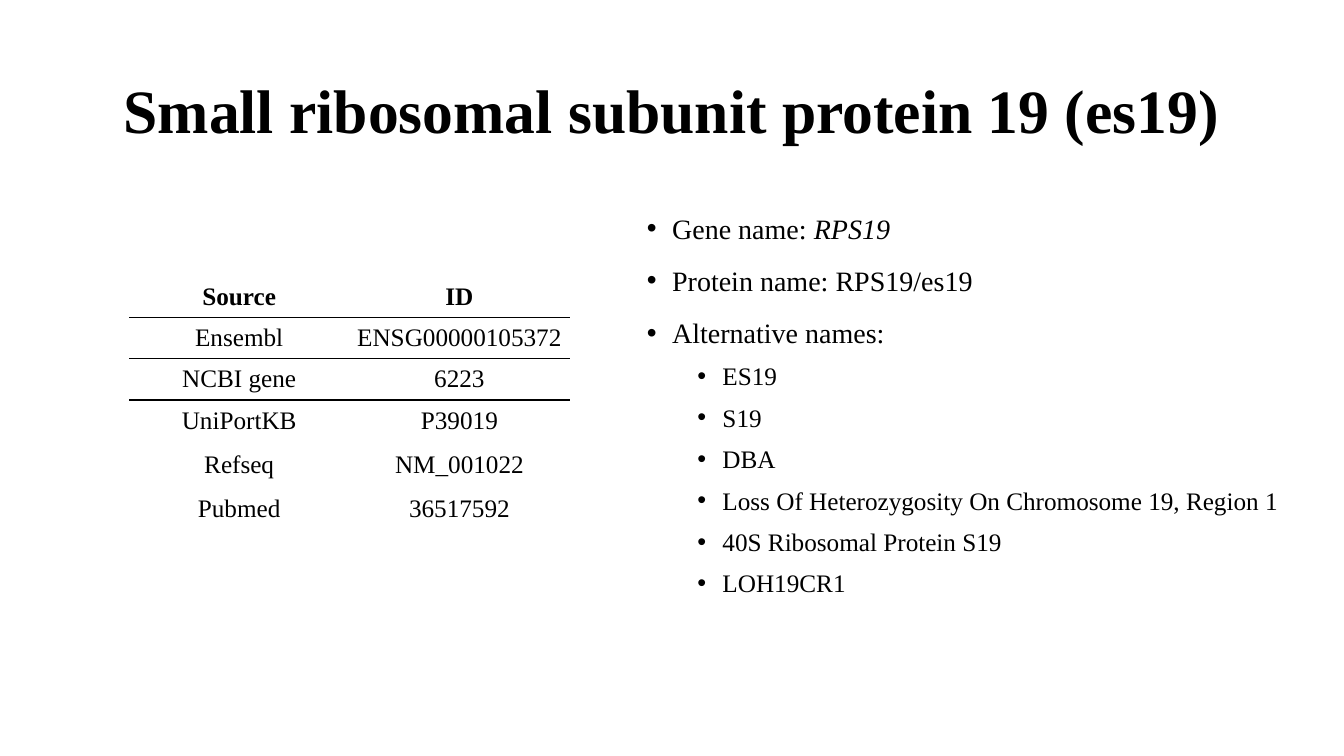
from lxml.etree import SubElement
from pptx import Presentation
from pptx.dml.color import RGBColor
from pptx.enum.text import MSO_ANCHOR, PP_ALIGN
from pptx.oxml import parse_xml
from pptx.oxml.ns import nsdecls, qn
from pptx.util import Pt

# Content
TITLE = "Small ribosomal subunit protein 19 (es19)"
IDENTIFIERS = [
    ("Source", "ID"),
    ("Ensembl", "ENSG00000105372"),
    ("NCBI gene", "6223"),
    ("UniPortKB", "P39019"),
    ("Refseq", "NM_001022"),
    ("Pubmed", "36517592"),
]
# Each name line: level, plain text, italic text
NAMES = [
    (0, "Gene name: ", "RPS19"),
    (0, "Protein name: RPS19/es19", ""),
    (0, "Alternative names:", ""),
    (1, "ES19", ""),
    (1, "S19", ""),
    (1, "DBA", ""),
    (1, "Loss Of Heterozygosity On Chromosome 19, Region 1", ""),
    (1, "40S Ribosomal Protein S19", ""),
    (1, "LOH19CR1", ""),
]

# Style
FONT = "Times New Roman"
BLACK = RGBColor(0, 0, 0)
TABLE_SIZE = 18
ROW_HEIGHTS = [29.5, 29.5, 29.5, 29.5, 33.8, 29.5]
COLUMN_WIDTH = 157.3
RULED_ROWS = (0, 1)
CELL_MARGIN = Pt(3.6)
PLAIN_TABLE_STYLE = "{2D5ABB26-0587-4C30-8999-92F81FD0307C}"
# Per level: text size, left indent, space before
LEVELS = [(20, 18, 10), (18, 54, 5)]
HANGING = 18


def format_run(run, size, bold=False, italic=False):
    run.font.name = FONT
    run.font.size = Pt(size)
    run.font.bold = bold
    run.font.italic = italic
    run.font.color.rgb = BLACK


def add_text_frame(slide, left, top, width, height):
    box = slide.shapes.add_textbox(Pt(left), Pt(top), Pt(width), Pt(height))
    box.text_frame.word_wrap = True
    return box.text_frame


def add_rule(cell, side):
    line = parse_xml(
        f'<a:{side} {nsdecls("a")} w="{Pt(1)}"><a:solidFill>'
        f'<a:srgbClr val="{BLACK}"/></a:solidFill></a:{side}>'
    )
    cell._tc.get_or_add_tcPr().insert(0, line)


def add_title(slide):
    frame = add_text_frame(slide, 66, 29, 828, 104.4)
    frame.vertical_anchor = MSO_ANCHOR.MIDDLE
    frame.text = TITLE
    paragraph = frame.paragraphs[0]
    paragraph.alignment = PP_ALIGN.CENTER
    paragraph.line_spacing = 0.9
    format_run(paragraph.runs[0], 44, bold=True)


def add_identifier_table(slide):
    rows, columns = len(IDENTIFIERS), len(IDENTIFIERS[0])
    graphic_frame = slide.shapes.add_table(
        rows, columns, Pt(92.2), Pt(197.3),
        Pt(COLUMN_WIDTH * columns), Pt(sum(ROW_HEIGHTS)),
    )
    table = graphic_frame.table
    table.first_row = table.horz_banding = False
    table._tbl.tblPr.find(qn("a:tableStyleId")).text = PLAIN_TABLE_STYLE
    for column in table.columns:
        column.width = Pt(COLUMN_WIDTH)
    for row_index, values in enumerate(IDENTIFIERS):
        table.rows[row_index].height = Pt(ROW_HEIGHTS[row_index])
        for column_index, value in enumerate(values):
            cell = table.cell(row_index, column_index)
            cell.text = value
            cell.vertical_anchor = MSO_ANCHOR.MIDDLE
            cell.margin_left = cell.margin_right = CELL_MARGIN
            cell.margin_top = cell.margin_bottom = CELL_MARGIN
            cell.fill.background()
            paragraph = cell.text_frame.paragraphs[0]
            paragraph.alignment = PP_ALIGN.CENTER
            format_run(paragraph.runs[0], TABLE_SIZE, bold=row_index == 0)
            # Bottom goes in first, so that the top line precedes it
            if row_index in RULED_ROWS:
                add_rule(cell, "lnB")
            if row_index - 1 in RULED_ROWS:
                add_rule(cell, "lnT")


def add_name_list(slide):
    frame = add_text_frame(slide, 455, 144, 494, 342.7)
    for index, (level, plain, italic) in enumerate(NAMES):
        size, indent, space_before = LEVELS[level]
        paragraph = frame.add_paragraph() if index else frame.paragraphs[0]
        paragraph.level = level
        paragraph.line_spacing = 1.14
        paragraph.space_before = Pt(space_before)
        properties = paragraph._p.get_or_add_pPr()
        properties.set("marL", str(Pt(indent)))
        properties.set("indent", str(-Pt(HANGING)))
        SubElement(properties, qn("a:buFont"), typeface="Arial")
        SubElement(properties, qn("a:buChar"), char="•")
        for text, is_italic in ((plain, False), (italic, True)):
            if text:
                run = paragraph.add_run()
                run.text = text
                format_run(run, size, italic=is_italic)


def main():
    presentation = Presentation()
    presentation.slide_width, presentation.slide_height = Pt(960), Pt(540)
    slide = presentation.slides.add_slide(presentation.slide_layouts[6])
    add_title(slide)
    add_identifier_table(slide)
    add_name_list(slide)
    presentation.save("out.pptx")


if __name__ == "__main__":
    main()
